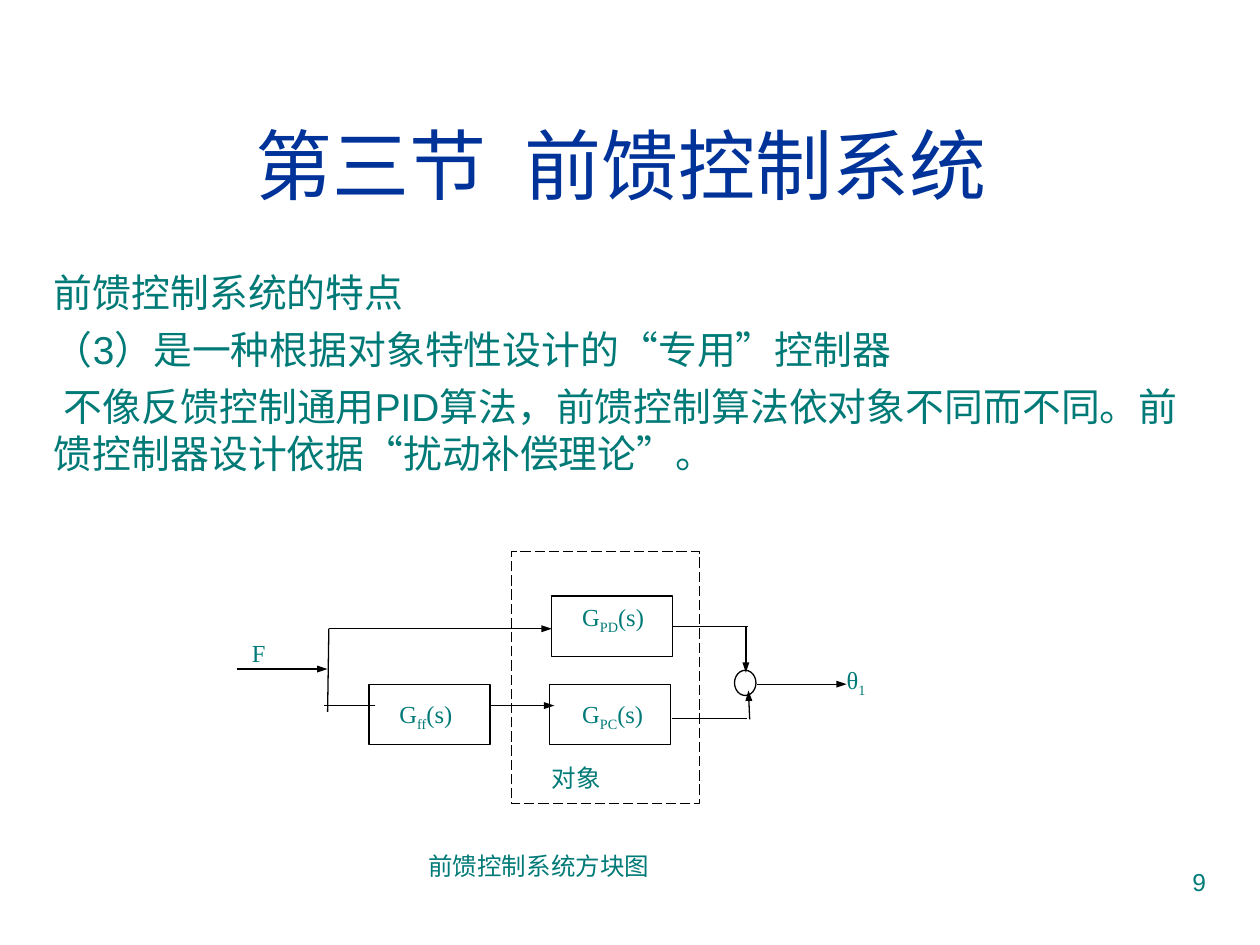
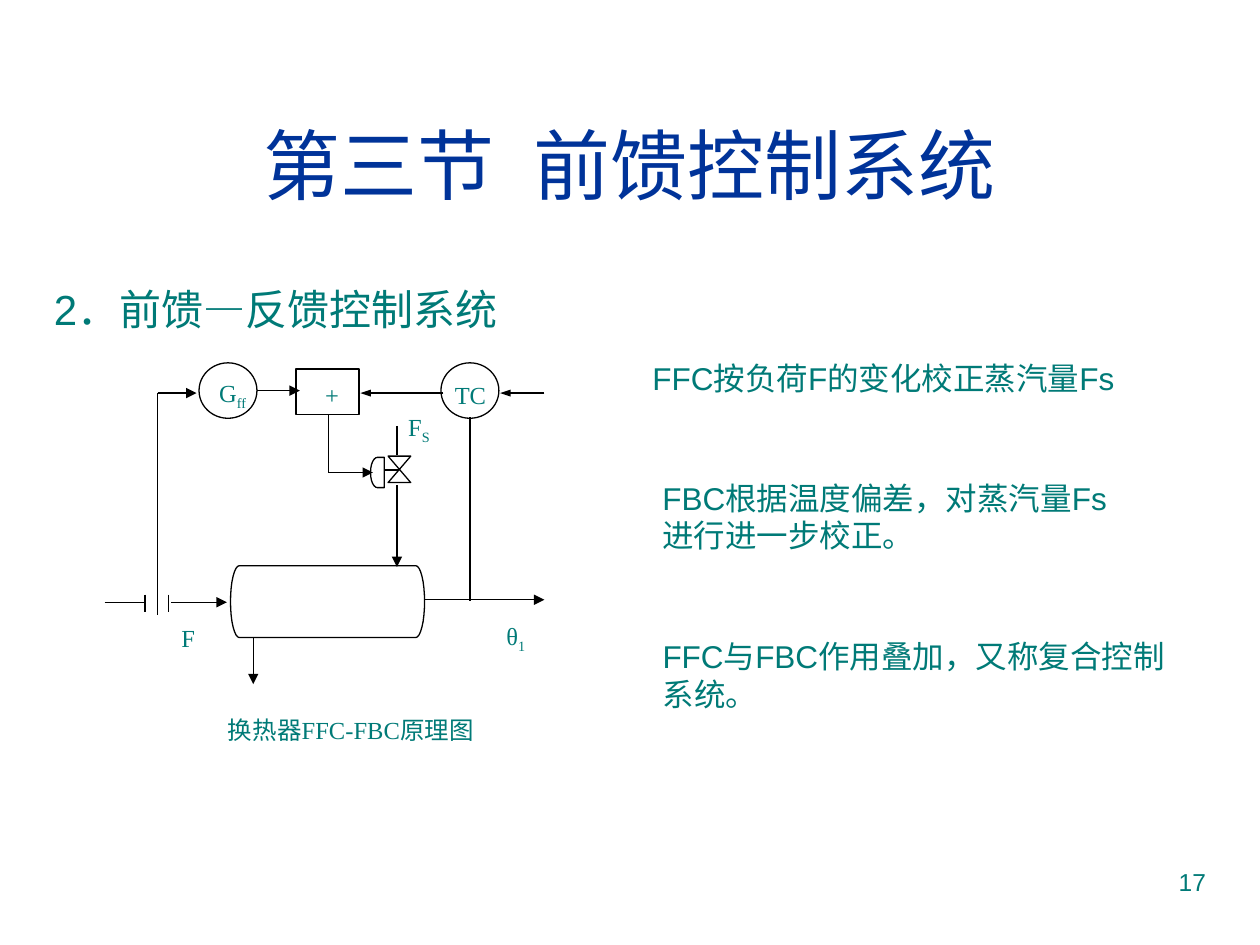
import math
from dataclasses import dataclass
from typing import NamedTuple

import pptx
import pptx.dml.color
import pptx.enum.dml
import pptx.enum.shapes
import pptx.enum.text
import pptx.oxml.ns
import pptx.oxml.xmlchemy
import pptx.util

Shape = pptx.enum.shapes.MSO_SHAPE
Align = pptx.enum.text.PP_ALIGN
Anchor = pptx.enum.text.MSO_ANCHOR

WIDTH, HEIGHT = pptx.util.Inches(10), pptx.util.Inches(7.5)
COLUMNS, ROWS = 100, 75


@dataclass(frozen=True)
class Theme:
    ink: str = "007A77"
    title: str = "003399"
    line: str = "000000"
    paper: str = "FFFFFF"
    sans: str = "Arial"
    serif: str = "Times New Roman"
    title_size: float = 44
    heading_size: float = 24
    body_size: float = 22.2
    note_size: float = 18
    small_size: float = 14
    stroke: float = 0.75


THEME = Theme()


class Box(NamedTuple):
    """A frame in grid columns and rows."""
    x: float
    y: float
    w: float
    h: float

    def emu(self) -> tuple[int, int, int, int]:
        return col(self.x), row(self.y), col(self.w), row(self.h)


class Run(NamedTuple):
    text: str
    baseline: int = 0
    spacing: int = 0


class Block(NamedTuple):
    kind: Shape
    box: Box
    dashed: bool = False
    turn: float = 0


class Wire(NamedTuple):
    """A chain of straight lines; head is the arrowhead width at its end."""
    points: list[tuple[float, float]]
    head: str = ""


class Label(NamedTuple):
    """Diagram text with its left edge at x and its middle at y."""
    text: str
    x: float
    y: float
    width: float = 8


def col(n: float) -> int:
    return round(WIDTH * n / COLUMNS)


def row(n: float) -> int:
    return round(HEIGHT * n / ROWS)


def rgb(value: str) -> pptx.dml.color.RGBColor:
    return pptx.dml.color.RGBColor.from_string(value)


def subscripted(text: str) -> list[Run]:
    """Split text so that parts between underscores become subscripts."""
    parts = text.split("_")
    return [Run(part, -25000 * (i % 2)) for i, part in enumerate(parts) if part]


def write(slide, paragraphs: list[list[Run]], box: Box, *, size: float,
          color: str = THEME.ink, font: str = THEME.sans, align=Align.LEFT,
          anchor=Anchor.TOP, inset: tuple[float, float] = (1, 0.5),
          gap: float = 0, last_indent: float = 0) -> None:
    tf = slide.shapes.add_textbox(*box.emu()).text_frame
    tf.word_wrap = True
    tf.vertical_anchor = anchor
    tf.margin_left = tf.margin_right = col(inset[0])
    tf.margin_top = tf.margin_bottom = row(inset[1])
    for i, runs in enumerate(paragraphs):
        p = tf.add_paragraph() if i else tf.paragraphs[0]
        p.alignment = align
        if i and gap:
            p.space_before = pptx.util.Pt(gap)
        for run in runs:
            r = p.add_run()
            r.text = run.text
            r.font.size = pptx.util.Pt(size)
            r.font.name = font
            r.font.color.rgb = rgb(color)
            for key, value in (("baseline", run.baseline), ("spc", run.spacing)):
                if value:
                    r._r.get_or_add_rPr().set(key, str(value))
    if last_indent:
        p._p.get_or_add_pPr().set("indent", str(col(last_indent)))


def stroke(line) -> None:
    line.color.rgb = rgb(THEME.line)
    line.width = pptx.util.Pt(THEME.stroke)


def finish(sp, filled: bool = True) -> None:
    sp.shadow.inherit = False
    stroke(sp.line)
    if filled:
        sp.fill.solid()
        sp.fill.fore_color.rgb = rgb(THEME.paper)
    else:
        sp.fill.background()


def draw_block(slide, block: Block) -> None:
    sp = slide.shapes.add_shape(block.kind, *block.box.emu())
    finish(sp)
    sp.rotation = block.turn
    if block.dashed:
        sp.line.dash_style = pptx.enum.dml.MSO_LINE.LONG_DASH


def draw_outline(slide, points: list[tuple[float, float]]) -> None:
    start, *rest = [(col(x), row(y)) for x, y in points]
    builder = slide.shapes.build_freeform(*start, scale=1.0)
    builder.add_line_segments(rest, close=True)
    finish(builder.convert_to_shape(), filled=False)


def draw_wire(slide, wire: Wire) -> None:
    for (x1, y1), (x2, y2) in zip(wire.points, wire.points[1:]):
        c = slide.shapes.add_connector(pptx.enum.shapes.MSO_CONNECTOR.STRAIGHT,
                                       col(x1), row(y1), col(x2), row(y2))
        stroke(c.line)
        spPr = c._element.spPr
        spPr.append(pptx.oxml.xmlchemy.OxmlElement("a:effectLst"))
    if wire.head:
        tail = pptx.oxml.xmlchemy.OxmlElement("a:tailEnd")
        for key, value in (("type", "triangle"), ("w", wire.head), ("len", "med")):
            tail.set(key, value)
        spPr.find(pptx.oxml.ns.qn("a:ln")).append(tail)


def draw_diagram(slide, blocks: list[Block], wires: list[Wire],
                 labels: list[Label]) -> None:
    for block in blocks:
        draw_block(slide, block)
    for wire in wires:
        draw_wire(slide, wire)
    for label in labels:
        write(slide, [subscripted(label.text)], Box(label.x, label.y - 1.5, label.width, 3),
              size=THEME.small_size, font=THEME.serif, anchor=Anchor.MIDDLE, inset=(0, 0))


def add_page(prs, number: int, title_shift: float = 0):
    slide = prs.slides.add_slide(prs.slide_layouts[6])
    write(slide, [[Run(str(number))]], Box(71.7, 68.3, 25, 5.2),
          size=THEME.small_size, align=Align.RIGHT)
    title = [Run("第三节"), Run(" ", spacing=1220), Run("前馈控制系统")]
    write(slide, [title], Box(3.3 + title_shift, 6.7, 93.4, 12.5), size=THEME.title_size,
          color=THEME.title, align=Align.CENTER, anchor=Anchor.MIDDLE)
    return slide


def vessel_outline(x: float, y: float, w: float, h: float, bulge: float,
                   steps: int = 16) -> list[tuple[float, float]]:
    """A straight body of width w with a half ellipse on each end."""
    def end(center: float, first_angle: float) -> list[tuple[float, float]]:
        angles = [first_angle + math.pi * i / steps for i in range(steps + 1)]
        return [(center + bulge * math.cos(a), y + h / 2 + h / 2 * math.sin(a))
                for a in angles]
    return end(x + w, -math.pi / 2) + end(x, math.pi / 2)


def block_diagram_page(prs) -> None:
    slide = add_page(prs, 9, title_shift=-0.7)
    lines = ["前馈控制系统的特点",
             "（3）是一种根据对象特性设计的“专用”控制器",
             "不像反馈控制通用PID算法，前馈控制算法依对象不同而不同。"
             "前馈控制器设计依据“扰动补偿理论”。"]
    write(slide, [[Run(line)] for line in lines], Box(3.3, 20.8, 93.4, 18.2),
          size=THEME.body_size, gap=6, last_indent=0.8)

    transfer = [Block(Shape.RECTANGLE, Box(x, y, 9.6, 4.8))
                for x, y in ((43.8, 47.3), (43.6, 54.3), (29.3, 54.3))]
    blocks = [Block(Shape.RECTANGLE, Box(40.6, 43.8, 14.9, 20), dashed=True),
              *transfer,
              Block(Shape.OVAL, Box(58.3, 53.2, 1.7, 2))]
    wires = [Wire([(53.4, 49.7), (59.4, 49.7)]),
             Wire([(59.2, 49.7), (59.2, 53.4)], "sm"),
             Wire([(53.3, 57), (59.3, 57)]),
             Wire([(59.5, 57.1), (59.4, 54.8)], "sm"),
             Wire([(60.1, 54.3), (67.2, 54.3)], "sm"),
             Wire([(26, 56.5), (26.1, 49.9), (43.8, 49.9)], "sm"),
             Wire([(38.8, 56), (44, 56)], "sm"),
             Wire([(29.8, 56), (25.7, 56)]),
             Wire([(18.8, 53.1), (26, 53.1)], "sm")]
    labels = [Label("G_PD_(s)", 46.2, 49.1),
              Label("F", 20, 51.8),
              Label("θ_1_", 67.2, 54.1),
              Label("G_ff_(s)", 31.7, 56.8),
              Label("G_PC_(s)", 46.2, 56.8),
              Label("对象", 43.8, 61.7),
              Label("前馈控制系统方块图", 34, 68.7, 24)]
    draw_diagram(slide, blocks, wires, labels)


def heat_exchanger_page(prs) -> None:
    slide = add_page(prs, 17)
    write(slide, [[Run("2．前馈—反馈控制系统")]], Box(3.3, 22, 93.4, 5),
          size=THEME.heading_size)

    draw_outline(slide, vessel_outline(19, 44.9, 14, 5.7, 0.7))
    valve = [(30.8, 36.2), (32.6, 36.2), (30.8, 38.3), (32.6, 38.3)]
    draw_outline(slide, valve)

    blocks = [Block(Shape.FLOWCHART_DELAY, Box(29.4, 36.3, 1.1, 2.4), turn=180),
              Block(Shape.OVAL, Box(15.8, 28.8, 4.6, 4.4)),
              Block(Shape.OVAL, Box(35, 28.8, 4.6, 4.4)),
              Block(Shape.RECTANGLE, Box(23.5, 29.3, 5, 3.6))]
    orifice = [Wire([(x, 47.2), (x, 48.6)]) for x in (11.5, 13.4)]
    wires = [*orifice,
             Wire([(8.3, 47.8), (11.5, 47.8)]),
             Wire([(13.6, 47.8), (18, 47.8)], "med"),
             Wire([(12.5, 48.8), (12.5, 31.2), (15.6, 31.2)], "med"),
             Wire([(20.4, 31), (23.8, 31)], "med"),
             Wire([(43.2, 31.2), (39.7, 31.2)], "sm"),
             Wire([(35.2, 31.2), (28.6, 31.2)], "sm"),
             Wire([(26.1, 32.9), (26.1, 37.5), (29.6, 37.5)], "med"),
             Wire([(31.7, 37.3), (30.5, 37.3)]),
             Wire([(31.5, 33.8), (31.5, 36.1)]),
             Wire([(31.5, 38.5), (31.5, 45)], "med"),
             Wire([(37.3, 33.1), (37.3, 47.7)]),
             Wire([(33.7, 47.6), (43.2, 47.6)], "med"),
             Wire([(20.1, 50.6), (20.1, 54.3)], "med")]
    labels = [Label("G_ff_", 17.4, 31.3, 4),
              Label("+", 25.8, 31.3, 3),
              Label("TC", 36.1, 31.3, 4),
              Label("F_S_", 32.4, 34),
              Label("F", 14.4, 50.6),
              Label("θ_1_", 40.2, 50.6),
              Label("换热器FFC-FBC原理图", 18.1, 57.9, 26)]
    draw_diagram(slide, blocks, wires, labels)

    notes = [("FFC按负荷F的变化校正蒸汽量Fs", Box(50.8, 28, 44, 4)),
             ("FBC根据温度偏差，对蒸汽量Fs进行进一步校正。", Box(51.6, 37.5, 39.4, 7)),
             ("FFC与FBC作用叠加，又称复合控制系统。", Box(51.6, 50.1, 42.5, 7))]
    for text, box in notes:
        write(slide, [[Run(text)]], box, size=THEME.note_size)


def main() -> None:
    prs = pptx.Presentation()
    prs.slide_width, prs.slide_height = WIDTH, HEIGHT
    block_diagram_page(prs)
    heat_exchanger_page(prs)
    prs.save("out.pptx")


if __name__ == "__main__":
    main()
